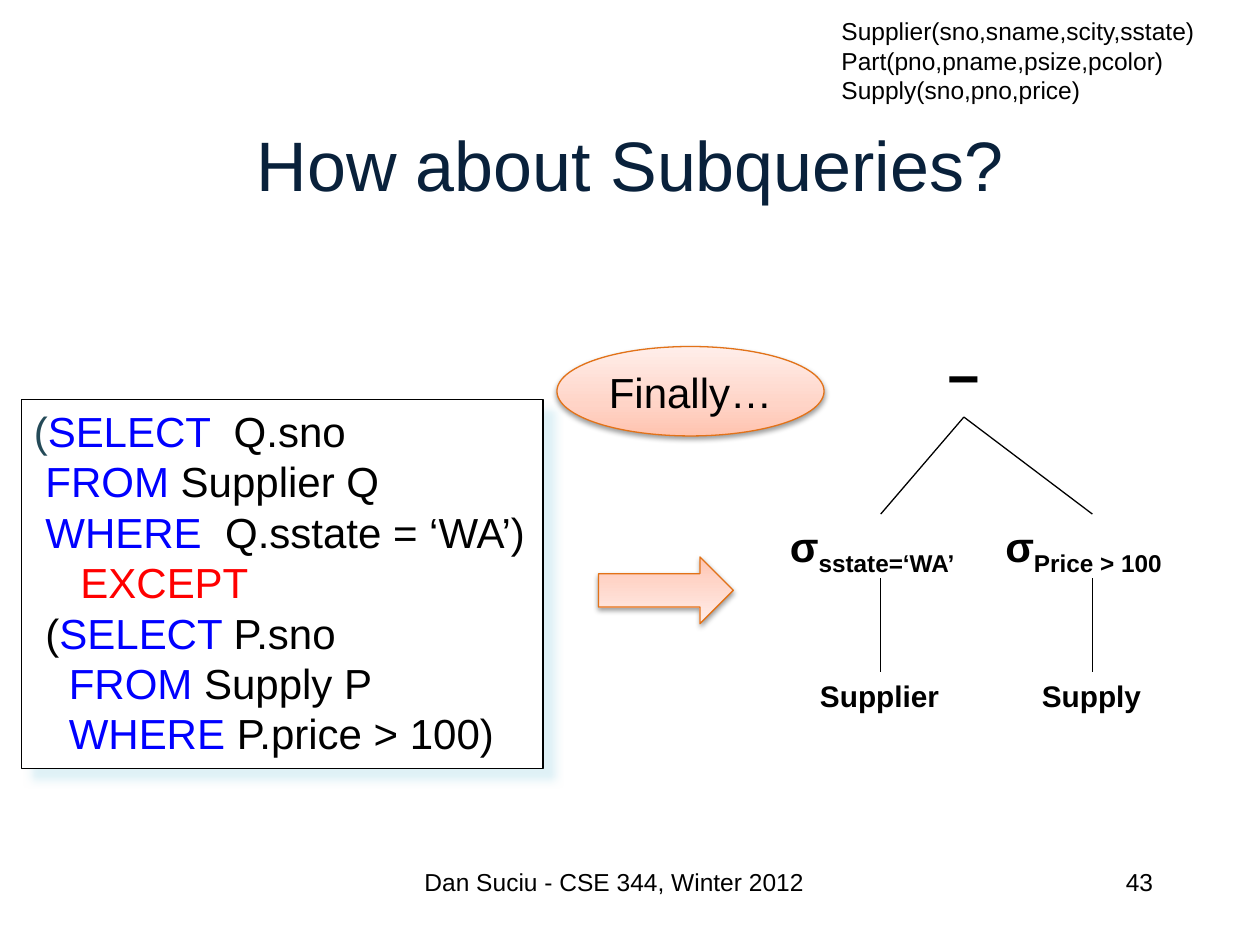
from copy import deepcopy
from dataclasses import dataclass

from lxml.etree import SubElement
from pptx import Presentation
from pptx.dml.color import RGBColor
from pptx.enum.shapes import MSO_CONNECTOR, MSO_SHAPE
from pptx.enum.text import MSO_ANCHOR, PP_ALIGN
from pptx.oxml.ns import qn
from pptx.util import Inches, Pt


@dataclass(frozen=True)
class Theme:
    font: str = "Arial"
    ink: str = "000000"
    paper: str = "FFFFFF"
    title: str = "09213B"
    paren: str = "244A58"
    key: str = "0000FF"
    alert: str = "FF0000"
    edge: str = "E27218"
    glow: str = "D5EDF4"
    blend: tuple = ((0, "FFC3AF"), (0.35, "FFD4C7"), (1, "FFEEEA"))
    huge: int = 40
    minus: int = 32
    body: int = 24
    leaf: int = 17
    small: int = 14
    thin: float = 0.75


@dataclass(frozen=True)
class Box:
    left: float
    top: float
    width: float
    height: float

    def emu(self) -> tuple:
        return tuple(Inches(v) for v in (self.left, self.top, self.width, self.height))


@dataclass(frozen=True)
class Span:
    text: str
    color: str = Theme.ink
    sub: bool = False


@dataclass(frozen=True)
class Label:
    box: Box
    lines: tuple
    size: int
    bold: bool = False
    align: PP_ALIGN = PP_ALIGN.LEFT
    wrap: bool = False


@dataclass(frozen=True)
class Shade:
    color: str
    alpha: int
    blur: float
    dist: float
    angle: int


LOOK = Theme()
SOFT = Shade(LOOK.ink, 38, 3.1, 1.6, 90)
CAST = Shade(LOOK.glow, 75, 5, 8.5, 45)


def fill_text(shape, lines: tuple, size: int, bold: bool = False,
              align: PP_ALIGN = PP_ALIGN.LEFT, wrap: bool = False) -> None:
    """Write lines, each a tuple of spans, into a shape."""
    frame = shape.text_frame
    frame.word_wrap = wrap
    for i, spans in enumerate(lines):
        para = frame.add_paragraph() if i else frame.paragraphs[0]
        para.alignment = align
        for span in spans:
            run = para.add_run()
            run.text = span.text
            font = run.font
            font.name, font.size, font.bold = LOOK.font, Pt(size), bold
            font.color.rgb = RGBColor.from_string(span.color)
            if span.sub:
                font._element.set("baseline", "-25000")


def add_label(slide, label: Label) -> None:
    shape = slide.shapes.add_textbox(*label.box.emu())
    fill_text(shape, label.lines, label.size, label.bold, label.align, label.wrap)


def add_shade(shape, shade: Shade) -> None:
    shape.shadow.inherit = False
    effects = shape._element.spPr.find(qn("a:effectLst"))
    outer = SubElement(effects, qn("a:outerShdw"), blurRad=str(Pt(shade.blur)),
                       dist=str(Pt(shade.dist)), dir=str(shade.angle * 60000),
                       rotWithShape="0")
    color = SubElement(outer, qn("a:srgbClr"), val=shade.color)
    SubElement(color, qn("a:alpha"), val=str(shade.alpha * 1000))


def add_block(slide, kind: MSO_SHAPE, box: Box, edge: str, width: float, shade: Shade):
    shape = slide.shapes.add_shape(kind, *box.emu())
    shape.line.color.rgb = RGBColor.from_string(edge)
    shape.line.width = Pt(width)
    add_shade(shape, shade)
    return shape


def add_peach(slide, kind: MSO_SHAPE, box: Box):
    """Add a shape with the three-stop peach gradient."""
    shape = add_block(slide, kind, box, LOOK.edge, LOOK.thin, SOFT)
    shape.fill.gradient()
    shape.fill.gradient_angle = 90
    stops = shape._element.spPr.find(".//" + qn("a:gsLst"))
    stops.append(deepcopy(stops[0]))
    for stop, (place, color) in zip(shape.fill.gradient_stops, LOOK.blend):
        stop.position = place
        stop.color.rgb = RGBColor.from_string(color)
    return shape


def add_line(slide, start: tuple, end: tuple) -> None:
    ends = (Inches(v) for v in (*start, *end))
    line = slide.shapes.add_connector(MSO_CONNECTOR.STRAIGHT, *ends)
    line.line.color.rgb = RGBColor.from_string(LOOK.ink)
    line.line.width = Pt(LOOK.thin)
    SubElement(line._element.spPr, qn("a:effectLst"))


def key(text: str) -> Span:
    return Span(text, LOOK.key)


def sigma(test: str) -> tuple:
    return ((Span("σ"), Span(test, sub=True)),)


def plain(*lines: str) -> tuple:
    return tuple((Span(line),) for line in lines)


CODE = (
    (Span("(", LOOK.paren), key("SELECT  "), Span("Q.sno")),
    (Span(" "), key("FROM"), Span(" Supplier Q")),
    (Span(" "), key("WHERE  "), Span("Q.sstate = ‘WA’)")),
    (Span("    "), Span("EXCEPT", LOOK.alert)),
    (Span(" ("), key("SELECT "), Span("P.sno")),
    (Span("   "), key("FROM"), Span(" Supply P")),
    (Span("   "), key("WHERE "), Span("P.price > 100)")),
)

LABELS = (
    # Schema
    Label(Box(6.58, 0.08, 3.02, 0.81),
          plain("Supplier(sno,sname,scity,sstate)", "Part(pno,pname,psize,pcolor)",
                "Supply(sno,pno,price)"), LOOK.small),
    # Query tree, from root to leaves
    Label(Box(7.42, 2.67, 0.46, 0.64), plain("−"), LOOK.minus, True),
    Label(Box(6.17, 4.08, 1.65, 0.5), sigma("sstate=‘WA’"), LOOK.body, True),
    Label(Box(7.88, 4.08, 1.59, 0.5), sigma("Price > 100"), LOOK.body, True),
    Label(Box(6.41, 5.33, 1.16, 0.39), plain("Supplier"), LOOK.leaf, True),
    Label(Box(8.17, 5.33, 1, 0.39), plain("Supply"), LOOK.leaf, True),
    # Footer and page number
    Label(Box(3, 6.83, 3.75, 0.5), plain("Dan Suciu - CSE 344, Winter 2012"),
          LOOK.small, align=PP_ALIGN.CENTER, wrap=True),
    Label(Box(7.17, 6.83, 2.08, 0.5), plain("43"), LOOK.small,
          align=PP_ALIGN.RIGHT, wrap=True),
)


def main() -> None:
    deck = Presentation()
    deck.slide_width, deck.slide_height = Inches(10), Inches(7.5)
    slide = deck.slides.add_slide(deck.slide_layouts[5])

    # Title
    title = slide.shapes.title
    title.left, title.top, title.width, title.height = Box(0.75, 0.67, 8.5, 1.25).emu()
    title.text_frame.vertical_anchor = MSO_ANCHOR.MIDDLE
    fill_text(title, ((Span("How about Subqueries?", LOOK.title),),), LOOK.huge,
              align=PP_ALIGN.CENTER, wrap=True)

    for label in LABELS:
        add_label(slide, label)

    # Query text
    query = add_block(slide, MSO_SHAPE.RECTANGLE, Box(0.17, 3.17, 4.14, 2.93),
                      LOOK.ink, 1, CAST)
    query.fill.solid()
    query.fill.fore_color.rgb = RGBColor.from_string(LOOK.paper)
    query.text_frame.vertical_anchor = MSO_ANCHOR.TOP
    fill_text(query, CODE, LOOK.body)

    # Tree branches
    for x in (6.99, 8.67):
        add_line(slide, (x, 4.08), (7.65, 3.31))
        add_line(slide, (x, 5.33), (x, 4.59))

    # Callout and arrow
    note = add_peach(slide, MSO_SHAPE.FLOWCHART_CONNECTOR, Box(4.42, 2.75, 2.12, 0.71))
    fill_text(note, plain("Finally…"), LOOK.body, align=PP_ALIGN.CENTER)
    arrow = add_peach(slide, MSO_SHAPE.LEFT_ARROW, Box(4.75, 4.42, 1.07, 0.53))
    arrow.rotation = 180

    deck.save("out.pptx")


if __name__ == "__main__":
    main()
